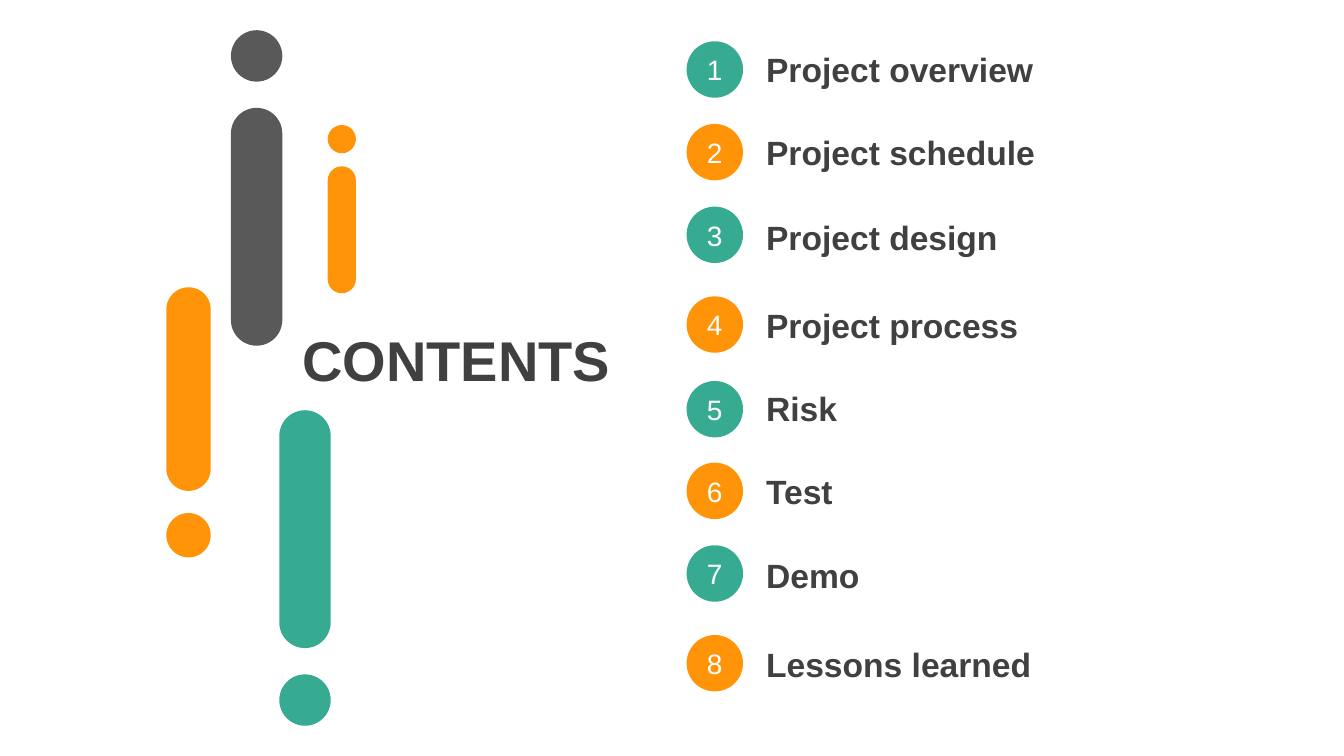
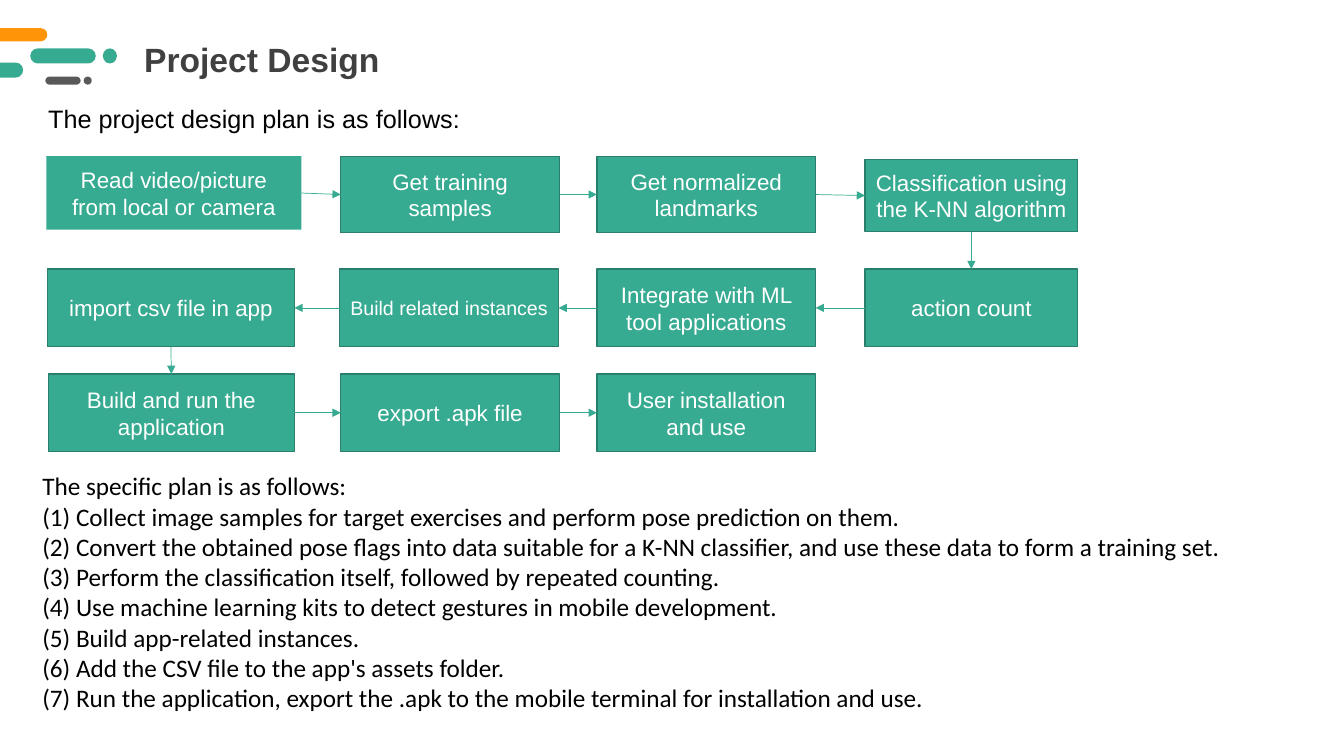
from lxml import etree
from pptx import Presentation
from pptx.dml.color import RGBColor
from pptx.enum.shapes import MSO_CONNECTOR, MSO_SHAPE
from pptx.enum.text import MSO_ANCHOR, MSO_AUTO_SIZE, PP_ALIGN
from pptx.oxml.ns import qn
from pptx.util import Inches, Pt

GREEN = RGBColor(0x37, 0xAB, 0x91)
DARK_GREEN = RGBColor(0x29, 0x7F, 0x6B)
ORANGE = RGBColor(0xFF, 0x94, 0x09)
GRAY = RGBColor(0x59, 0x59, 0x59)
INK = RGBColor(0x40, 0x40, 0x40)
BLACK = RGBColor(0, 0, 0)
WHITE = RGBColor(0xFF, 0xFF, 0xFF)


def write(shape, text, size, color, bold=False, font="Arial",
          align=PP_ALIGN.LEFT, anchor=MSO_ANCHOR.TOP):
    """Fill a shape with text, one paragraph per line."""
    frame = shape.text_frame
    frame.text = text
    frame.word_wrap = True
    frame.auto_size = MSO_AUTO_SIZE.NONE
    frame.vertical_anchor = anchor
    for para in frame.paragraphs:
        para.alignment = align
        para.font.size, para.font.bold, para.font.name = Pt(size), bold, font
        para.font.color.rgb = color


def add_filled(page, kind, place, color, line=None):
    """Add a flat shape; place is left, top, width, height in inches."""
    shape = page.shapes.add_shape(kind, *map(Inches, place))
    shape.shadow.inherit = False
    shape.fill.solid()
    shape.fill.fore_color.rgb = color
    if line is None:
        shape.line.fill.background()
    else:
        shape.line.color.rgb = line
        shape.line.width = Pt(1)
    if kind == MSO_SHAPE.ROUNDED_RECTANGLE:
        shape.adjustments[0] = 0.5
    return shape


deck = Presentation()
deck.slide_width, deck.slide_height = Inches(13.33), Inches(7.5)
contents = deck.slides.add_slide(deck.slide_layouts[5])
design = deck.slides.add_slide(deck.slide_layouts[1])

# Titles
titles = [
    (contents, "CONTENTS", 40, (2.9, 3.18, 3.6, 0.77)),
    (design, "Project Design", 24, (1.33, 0.34, 8, 0.5)),
]
for page, text, size, place in titles:
    title = page.shapes.title
    title.left, title.top, title.width, title.height = map(Inches, place)
    write(title, text, size, INK, bold=True)

# Decorative pills and dots
PILL, DOT = MSO_SHAPE.ROUNDED_RECTANGLE, MSO_SHAPE.OVAL
ornaments = [
    (contents, PILL, (2.29, 1.07, 0.51, 2.36), GRAY),
    (contents, DOT, (2.29, 0.3, 0.51, 0.51), GRAY),
    (contents, PILL, (3.25, 1.65, 0.28, 1.26), ORANGE),
    (contents, DOT, (3.25, 1.24, 0.28, 0.28), ORANGE),
    (contents, PILL, (2.77, 4.07, 0.51, 2.36), GREEN),
    (contents, DOT, (2.77, 6.69, 0.51, 0.51), GREEN),
    (contents, PILL, (1.65, 2.85, 0.44, 2.02), ORANGE),
    (contents, DOT, (1.65, 5.09, 0.44, 0.44), ORANGE),
    (design, PILL, (0.3, 0.48, 0.65, 0.15), GREEN),
    (design, DOT, (1.02, 0.48, 0.14, 0.15), GREEN),
    (design, PILL, (0.45, 0.76, 0.35, 0.08), GRAY),
    (design, DOT, (0.83, 0.76, 0.08, 0.08), GRAY),
    (design, PILL, (-0.17, 0.62, 0.4, 0.15), GREEN),
    (design, PILL, (-0.09, 0.28, 0.56, 0.13), ORANGE),
]
for ornament in ornaments:
    add_filled(*ornament)

# Agenda: top of the numbered circle, top of the label, label
agenda = [
    (0.41, 0.44, "Project overview"),
    (1.23, 1.26, "Project schedule"),
    (2.05, 2.1, "Project design"),
    (2.94, 2.98, "Project process"),
    (3.78, 3.8, "Risk"),
    (4.59, 4.62, "Test"),
    (5.41, 5.46, "Demo"),
    (6.3, 6.34, "Lessons learned"),
]
for number, (circle_top, label_top, label) in enumerate(agenda, 1):
    circle = add_filled(contents, DOT, (6.81, circle_top, 0.56, 0.56),
                        GREEN if number % 2 else ORANGE)
    write(circle, str(number), 20, WHITE, align=PP_ALIGN.CENTER,
          anchor=MSO_ANCHOR.MIDDLE)
    box = contents.shapes.add_textbox(Inches(7.5), Inches(label_top),
                                      Inches(4), Inches(0.5))
    write(box, label, 24, INK, bold=True)

# Introduction of the flow chart
intro = design.shapes.add_textbox(Inches(0.38), Inches(0.98),
                                  Inches(4.6), Inches(0.4))
write(intro, "The project design plan is as follows:", 18, BLACK)

# Flow chart steps, in running order
steps = [
    ("Read video/picture from local or camera", (0.46, 1.55, 2.53, 0.73)),
    ("Get training samples", (3.38, 1.55, 2.17, 0.76)),
    ("Get normalized landmarks", (5.92, 1.55, 2.17, 0.76)),
    ("Classification using the K-NN algorithm", (8.58, 1.58, 2.11, 0.72)),
    ("action count", (8.58, 2.67, 2.11, 0.77)),
    ("Integrate with ML tool applications", (5.92, 2.67, 2.17, 0.77)),
    ("Build related instances", (3.37, 2.67, 2.17, 0.77)),
    ("import csv file in app", (0.47, 2.67, 2.45, 0.77)),
    ("Build and run the application", (0.48, 3.71, 2.44, 0.77)),
    ("export .apk file", (3.38, 3.71, 2.17, 0.77)),
    ("User installation and use", (5.92, 3.71, 2.17, 0.77)),
]
boxes = []
for index, (text, place) in enumerate(steps):
    box = add_filled(design, MSO_SHAPE.RECTANGLE, place, GREEN,
                     DARK_GREEN if index else None)
    write(box, text, 14 if text.startswith("Build related") else 16, WHITE,
          align=PP_ALIGN.CENTER, anchor=MSO_ANCHOR.MIDDLE)
    boxes.append(box)

# Arrows from each step to the next: side left, side entered
RIGHTWARD, LEFTWARD, DOWNWARD = (3, 1), (1, 3), (2, 0)
directions = ([RIGHTWARD] * 3 + [DOWNWARD] + [LEFTWARD] * 3
              + [DOWNWARD] + [RIGHTWARD] * 2)
for start, end, (exit_side, entry_side) in zip(boxes, boxes[1:], directions):
    arrow = design.shapes.add_connector(MSO_CONNECTOR.STRAIGHT, 0, 0, 0, 0)
    arrow.begin_connect(start, exit_side)
    arrow.end_connect(end, entry_side)
    arrow.line.color.rgb = GREEN
    arrow.line.width = Pt(0.5)
    etree.SubElement(arrow.line._get_or_add_ln(), qn("a:tailEnd"), type="triangle")
    etree.SubElement(arrow._element.spPr, qn("a:effectLst"))

# Plan in words
plan = design.placeholders[1]
plan.left, plan.top, plan.width, plan.height = map(
    Inches, (0.03, 4.28, 12.72, 3.22))
write(plan, "\n".join([
    "The specific plan is as follows:",
    "(1) Collect image samples for target exercises and perform pose prediction on them.",
    "(2) Convert the obtained pose flags into data suitable for a K-NN classifier, "
    "and use these data to form a training set.",
    "(3) Perform the classification itself, followed by repeated counting.",
    "(4) Use machine learning kits to detect gestures in mobile development.",
    "(5) Build app-related instances.",
    "(6) Add the CSV file to the app's assets folder.",
    "(7) Run the application, export the .apk to the mobile terminal "
    "for installation and use.",
]), 18, BLACK, font="Calibri", align=PP_ALIGN.JUSTIFY)
frame = plan.text_frame
frame.margin_left = frame.margin_right = Inches(0.39)
frame.margin_top = frame.margin_bottom = Inches(0.39)
for para in frame.paragraphs:
    para.space_before = Pt(0)
    properties = para._p.get_or_add_pPr()
    properties.set("marL", "0")
    properties.set("indent", "0")
    bullet = etree.Element(qn("a:buNone"))
    properties.find(qn("a:defRPr")).addprevious(bullet)

deck.save("out.pptx")
